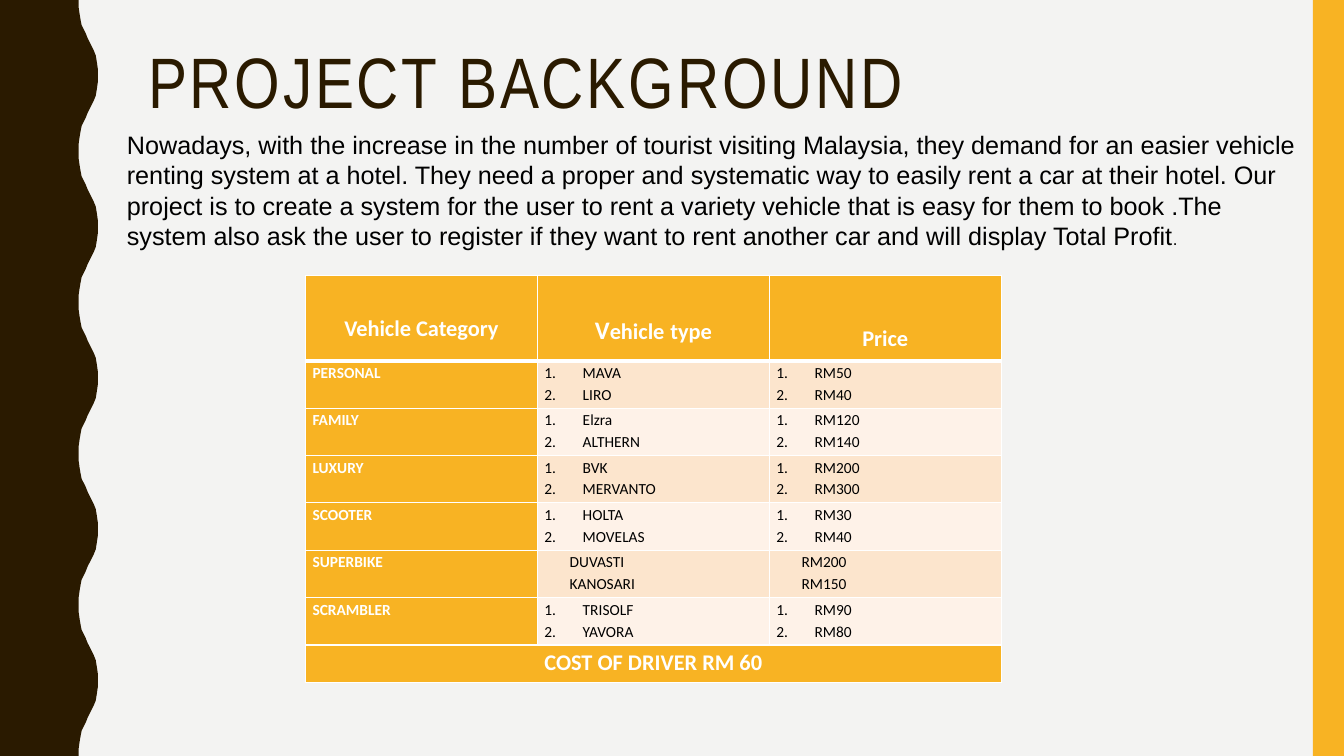
from dataclasses import dataclass

from lxml import etree
from pptx import Presentation
from pptx import util as u
from pptx.dml.color import RGBColor
from pptx.enum import shapes, text
from pptx.oxml import ns

PX = 9144
WIDTH, HEIGHT = 1333, 750
BROWN, AMBER, PAPER = "2A1A00", "F8B323", "F3F3F2"
WHITE, BLACK = "FFFFFF", "000000"
BANDS = ("FCE5CD", "FEF2E8")
WAVE_PERIOD = 150
WAVE_RISE = [(78, 0), (78, 7), (79, 14), (80, 20), (81, 25), (83, 29), (85, 33), (87, 38),
             (89, 42), (91, 46), (93, 50), (95, 55), (96, 61), (97, 68), (97, 75)]
COLUMN_WIDTH = 230
HEADER_HEIGHT, VEHICLE_HEIGHT, FOOTER_HEIGHT = 85, 47, 37


@dataclass(frozen=True)
class Run:
    """A piece of text with one format."""
    text: str
    size: float
    font: str = "Calibri"
    color: str = WHITE
    bold: bool = False


@dataclass(frozen=True)
class Header:
    """A column heading and its distance from the top of the cell."""
    runs: tuple[Run, ...]
    top: int


@dataclass(frozen=True)
class Category:
    """A vehicle category with its types and prices."""
    name: str
    vehicles: tuple[str, str]
    prices: tuple[str, str]
    numbered: bool = True


HEADERS = (
    Header((Run("Vehicle Category", 16, bold=True),), 36),
    Header((Run("V", 18, bold=True), Run("ehicle", 16, bold=True),
            Run(" ", 18, bold=True), Run("type", 16, bold=True)), 35),
    Header((Run("Price", 16, bold=True),), 46),
)
CATEGORIES = (
    Category("PERSONAL", ("MAVA", "LIRO"), ("RM50", "RM40")),
    Category("FAMILY", ("Elzra", "ALTHERN"), ("RM120", "RM140")),
    Category("LUXURY", ("BVK", "MERVANTO"), ("RM200", "RM300")),
    Category("SCOOTER", ("HOLTA", "MOVELAS"), ("RM30", "RM40")),
    Category("SUPERBIKE", ("DUVASTI", "KANOSARI"), ("RM200", "RM150"), numbered=False),
    Category("SCRAMBLER", ("TRISOLF", "YAVORA"), ("RM90", "RM80")),
)


def px(length: float) -> int:
    """Turn px into EMU."""
    return round(length * PX)


def paint(target, color: str) -> None:
    """Give a shape, cell or background a solid fill."""
    target.fill.solid()
    target.fill.fore_color.rgb = RGBColor.from_string(color)


def write(paragraph, runs: tuple[Run, ...], **formats) -> None:
    """Fill a paragraph with runs and set its format values."""
    for name, value in formats.items():
        setattr(paragraph, name, value)
    for item in runs:
        run = paragraph.add_run()
        run.text = item.text
        for name, value in {"size": u.Pt(item.size), "name": item.font, "bold": item.bold}.items():
            setattr(run.font, name, value)
        run.font.color.rgb = RGBColor.from_string(item.color)


def finish(shape, color: str) -> None:
    """Fill a shape and drop its outline and shadow."""
    paint(shape, color)
    shape.line.fill.background()
    shape.shadow.inherit = False


def draw_wave(slide) -> None:
    """Draw the wavy band on the left edge."""
    fall = [(x, WAVE_PERIOD - y) for x, y in reversed(WAVE_RISE[:-1])]
    edge = [(x, y + start) for start in range(0, HEIGHT, WAVE_PERIOD)
            for x, y in WAVE_RISE + fall]
    builder = slide.shapes.build_freeform(0, 0, scale=PX)
    builder.add_line_segments(edge + [(0, HEIGHT)], close=True)
    finish(builder.convert_to_shape(), BROWN)


def add_text(slide, box: tuple[int, int, int, int], anchor, runs: tuple[Run, ...], **formats):
    """Add a wrapped text box with one paragraph."""
    frame = slide.shapes.add_textbox(*map(px, box)).text_frame
    frame.word_wrap = True
    frame.vertical_anchor = anchor
    write(frame.paragraphs[0], runs, **formats)
    return frame


def style_cell(cell, color: str, top: int = 0, bottom_line: float = 1) -> None:
    """Set the margins, white borders and fill of a cell."""
    margins = {"margin_left": 7, "margin_right": 7, "margin_top": top, "margin_bottom": 0}
    for name, value in margins.items():
        setattr(cell, name, px(value))
    properties = cell._tc.get_or_add_tcPr()
    for side, points in {"L": 1, "R": 1, "T": 1, "B": bottom_line}.items():
        line = etree.SubElement(properties, ns.qn(f"a:ln{side}"), w=str(u.Pt(points)))
        fill = etree.SubElement(line, ns.qn("a:solidFill"))
        etree.SubElement(fill, ns.qn("a:srgbClr"), val=WHITE)
    paint(cell, color)


def write_list(cell, items: tuple[str, str], numbered: bool) -> None:
    """Write a two-line list, numbered or only indented."""
    left, hanging = (38, -38) if numbered else (50, -25)
    frame = cell.text_frame
    for index, item in enumerate(items):
        paragraph = frame.add_paragraph() if index else frame.paragraphs[0]
        write(paragraph, (Run(item, 11, color=BLACK),), line_spacing=1.15)
        properties = paragraph._p.get_or_add_pPr()
        properties.set("marL", str(px(left)))
        properties.set("indent", str(px(hanging)))
        if numbered:
            etree.SubElement(properties, ns.qn("a:buAutoNum"), type="arabicPeriod")


def draw_table(slide) -> None:
    """Draw the table of vehicles and prices."""
    heights = [HEADER_HEIGHT] + [VEHICLE_HEIGHT] * len(CATEGORIES) + [FOOTER_HEIGHT]
    columns = len(HEADERS)
    box = (303, 273, COLUMN_WIDTH * columns, sum(heights))
    table = slide.shapes.add_table(len(heights), columns, *map(px, box)).table
    table.horz_banding = table.first_row = False
    for column in table.columns:
        column.width = px(COLUMN_WIDTH)
    for row, height in zip(table.rows, heights):
        row.height = px(height)

    centred = {"alignment": text.PP_ALIGN.CENTER, "line_spacing": 1.15}
    for index, header in enumerate(HEADERS):
        cell = table.cell(0, index)
        style_cell(cell, AMBER, header.top, bottom_line=3)
        write(cell.text_frame.paragraphs[0], header.runs, **centred)

    for index, category in enumerate(CATEGORIES):
        name, *lists = table.rows[index + 1].cells
        style_cell(name, AMBER)
        write(name.text_frame.paragraphs[0], (Run(category.name, 11, bold=True),),
              line_spacing=1.15)
        for cell, items in zip(lists, (category.vehicles, category.prices)):
            style_cell(cell, BANDS[index % 2])
            write_list(cell, items, category.numbered)

    last = len(heights) - 1
    footer = table.cell(last, 0)
    footer.merge(table.cell(last, columns - 1))
    for cell in table.rows[last].cells:
        style_cell(cell, AMBER)
    write(footer.text_frame.paragraphs[0], (Run("COST OF DRIVER RM 60", 16, bold=True),), **centred)


def main() -> None:
    """Build the slide and save it."""
    presentation = Presentation()
    presentation.slide_width, presentation.slide_height = px(WIDTH), px(HEIGHT)
    slide = presentation.slides.add_slide(presentation.slide_layouts[6])
    paint(slide.background, PAPER)
    draw_wave(slide)
    bar = slide.shapes.add_shape(shapes.MSO_SHAPE.RECTANGLE, *map(px, (1302, 0, 31, HEIGHT)))
    finish(bar, AMBER)

    title = add_text(slide, (137, 42, 1113, 163), text.MSO_ANCHOR.TOP,
                     (Run("PROJECT BACKGROUND", 51, "Arial Narrow", BROWN),), line_spacing=0.9)
    title.paragraphs[0].runs[0].font._element.set("spc", "200")
    background = (
        "Nowadays, with the increase in the number of tourist visiting Malaysia, they demand for "
        "an easier vehicle renting system at a hotel. They need a proper and systematic way to "
        "easily rent a car at their hotel. Our project is to create a system for the user to rent "
        "a variety vehicle that is easy for them to book .The system also ask the user to register "
        "if they want to rent another car and will display Total Profit")
    add_text(slide, (116, 123, 1181, 131), text.MSO_ANCHOR.MIDDLE,
             (Run(background, 18, "Arial", BLACK), Run(".", 12, "Arial", BLACK)))
    draw_table(slide)
    presentation.save("out.pptx")


if __name__ == "__main__":
    main()
